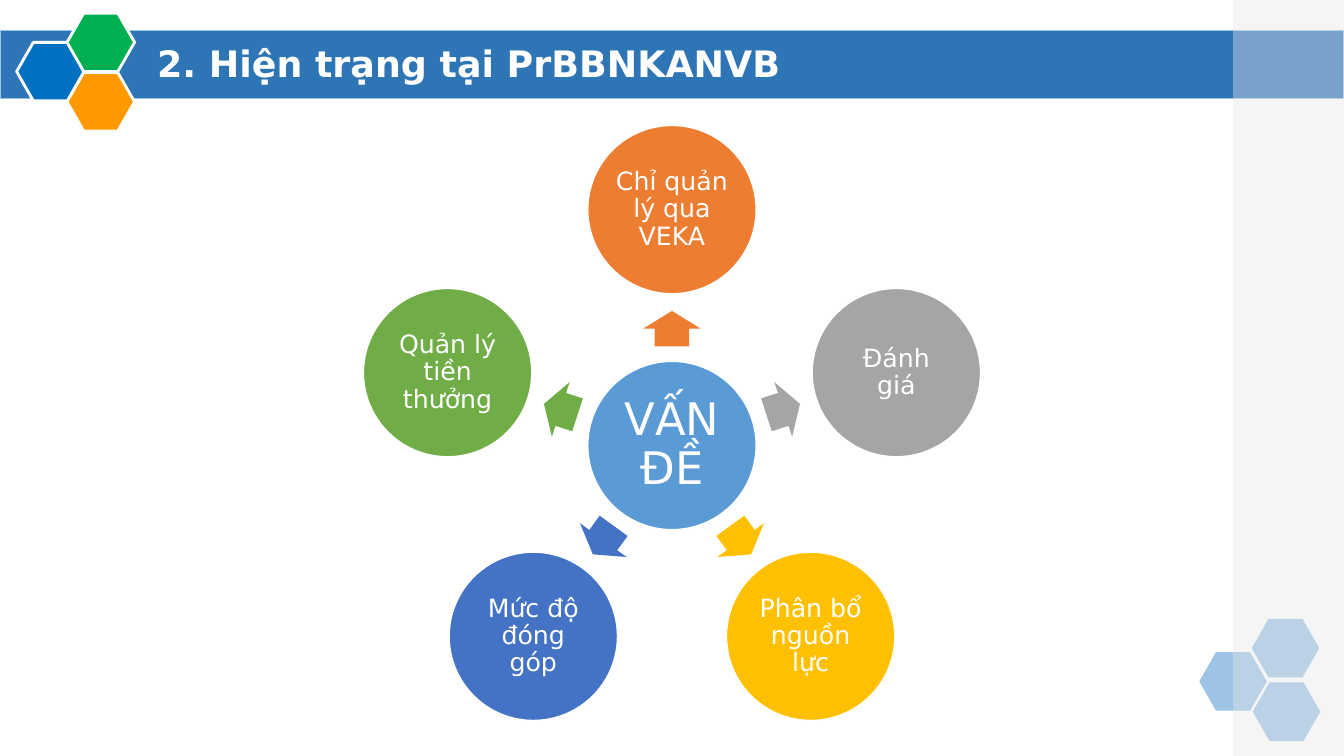
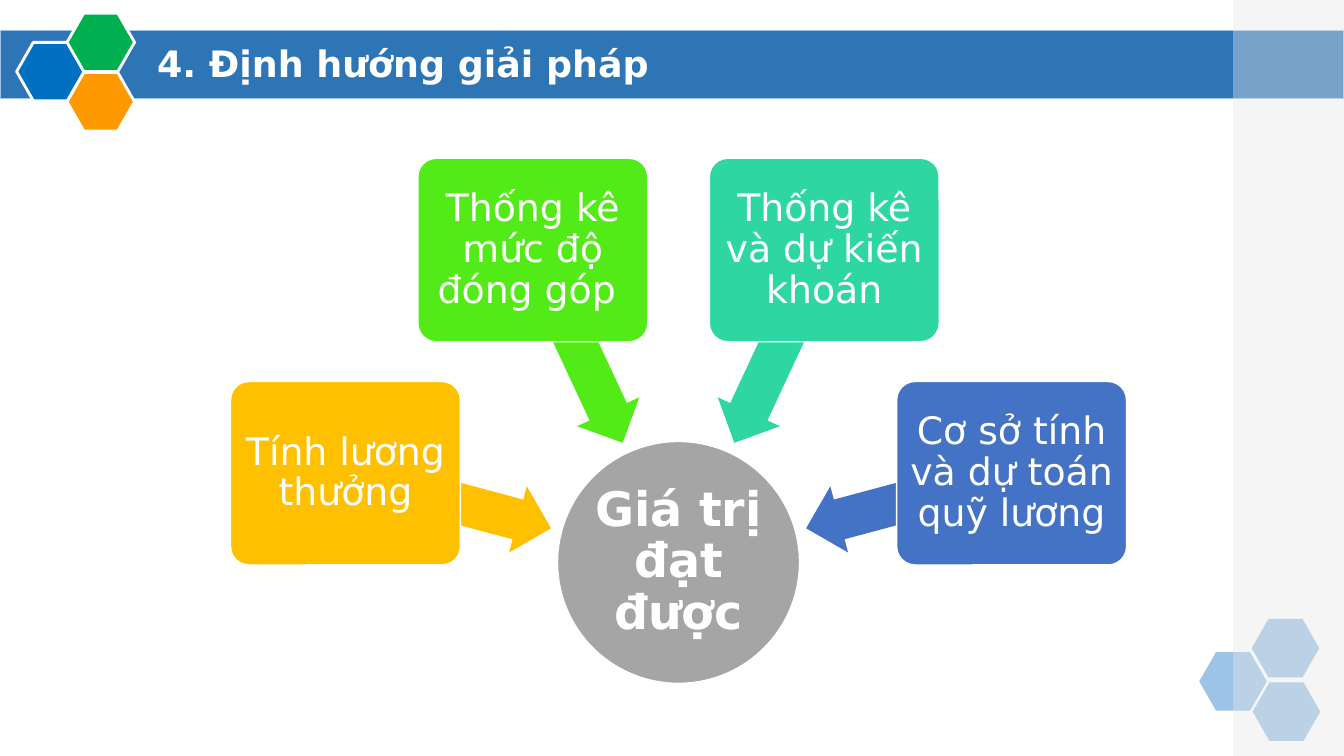
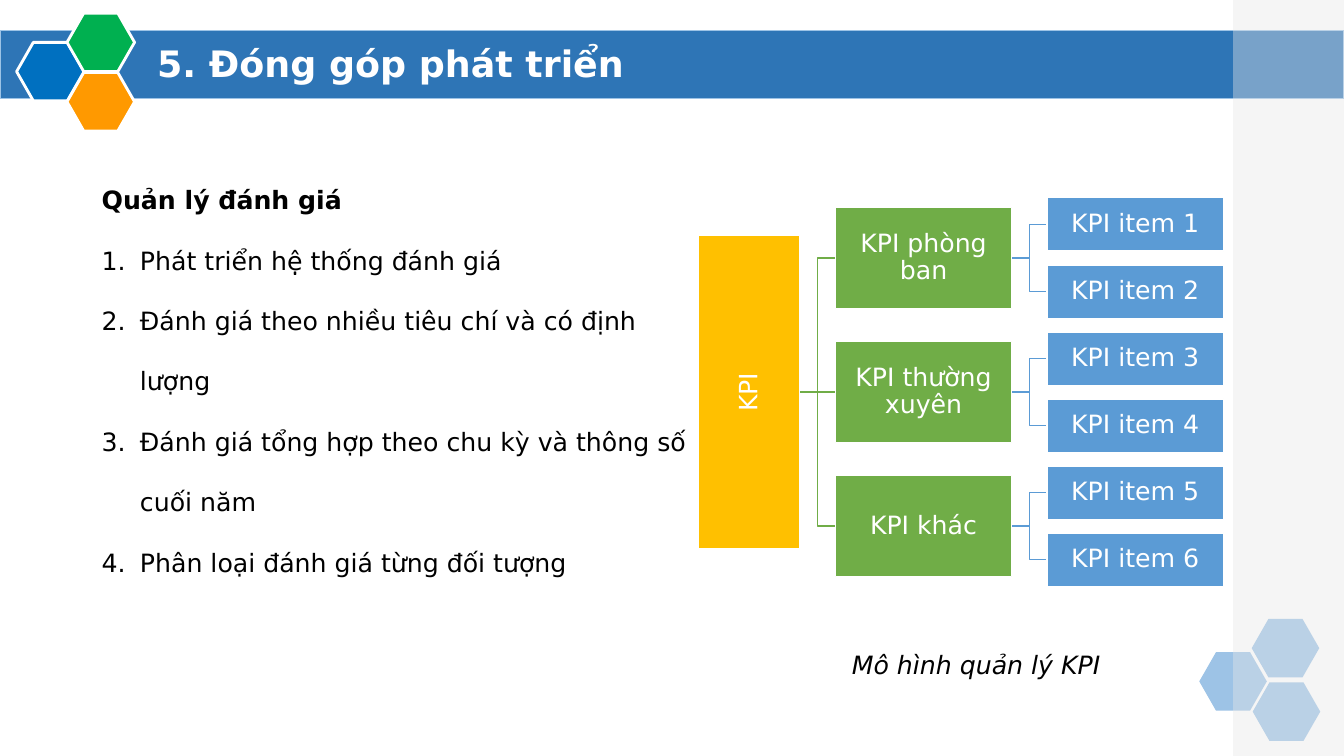
"""Build three slides on the current state, the solution and its KPI model."""
from math import cos, radians, sin

from lxml import etree
from pptx import Presentation
from pptx.dml.color import RGBColor
from pptx.enum.shapes import MSO_CONNECTOR, MSO_SHAPE
from pptx.enum.text import MSO_ANCHOR, PP_ALIGN
from pptx.oxml.ns import qn
from pptx.util import Inches, Pt

WHITE = RGBColor(0xFF, 0xFF, 0xFF)
BLACK = RGBColor(0x00, 0x00, 0x00)
BAND_BLUE = RGBColor(0x2E, 0x75, 0xB6)
PALE_BLUE = RGBColor(0x9D, 0xC3, 0xE6)
PANEL_GRAY = RGBColor(0xE7, 0xE6, 0xE6)
HEX_BLUE = RGBColor(0x00, 0x70, 0xC0)
HEX_ORANGE = RGBColor(0xFF, 0x99, 0x00)
HEX_GREEN = RGBColor(0x00, 0xB0, 0x50)
SKY = RGBColor(0x5B, 0x9B, 0xD5)
ORANGE = RGBColor(0xED, 0x7D, 0x31)
GRAY = RGBColor(0xA5, 0xA5, 0xA5)
GOLD = RGBColor(0xFF, 0xC0, 0x00)
BLUE = RGBColor(0x44, 0x72, 0xC4)
GREEN = RGBColor(0x70, 0xAD, 0x47)
LIME = RGBColor(0x53, 0xEB, 0x17)
TEAL = RGBColor(0x2E, 0xD7, 0xA1)

RECTANGLE = MSO_SHAPE.RECTANGLE
ROUNDED = MSO_SHAPE.ROUNDED_RECTANGLE
HEXAGON = MSO_SHAPE.HEXAGON
OVAL = MSO_SHAPE.OVAL
RIGHT_ARROW = MSO_SHAPE.RIGHT_ARROW
LEFT_ARROW = MSO_SHAPE.LEFT_ARROW
ELBOW = MSO_CONNECTOR.ELBOW
STRAIGHT = MSO_CONNECTOR.STRAIGHT
CENTER = PP_ALIGN.CENTER
MIDDLE = MSO_ANCHOR.MIDDLE

FONT = "DejaVu Sans"
WIDTH, HEIGHT = 13.33, 7.5
TITLES = ["2. Hiện trạng tại PrBBNKANVB", "4. Định hướng giải pháp", "5. Đóng góp phát triển"]
HEX_WIDTH, HEX_HEIGHT = 0.67, 0.58
PALE_HEXAGONS = [(12.75, 6.43), (12.23, 6.76), (12.76, 7.06)]
BRIGHT_HEXAGONS = [(0.5, 0.71, HEX_BLUE), (1, 1.01, HEX_ORANGE), (1, 0.42, HEX_GREEN)]


def add_block(page, kind, center_x, center_y, width, height, fill, line=None, weight=1,
              turn=0, adjust=(), text="", size=18, bold=False, inset=0.03):
    """Place a filled shape by its centre, with centred white text if given."""
    block = page.shapes.add_shape(kind, Inches(center_x - width / 2), Inches(center_y - height / 2),
                                  Inches(width), Inches(height))
    block.shadow.inherit = False
    block.rotation = turn
    for index, value in enumerate(adjust):
        block.adjustments[index] = value
    block.fill.solid()
    block.fill.fore_color.rgb = fill
    if line is None:
        block.line.fill.background()
    else:
        block.line.color.rgb = line
        block.line.width = Pt(weight)
    if text:
        frame = block.text_frame
        frame.margin_left = frame.margin_right = frame.margin_top = frame.margin_bottom = Inches(inset)
        frame.vertical_anchor = MIDDLE
        frame.text = text
        para = frame.paragraphs[0]
        para.alignment = CENTER
        para.line_spacing = 0.9
        style_runs(para, size, WHITE, bold=bold)
    return block


def style_runs(para, size, color, bold=False, italic=False):
    """Format every run of a paragraph."""
    for span in para.runs:
        span.font.name = FONT
        span.font.size = Pt(size)
        span.font.color.rgb = color
        span.font.bold = bold
        span.font.italic = italic


deck = Presentation()
deck.slide_width, deck.slide_height = Inches(WIDTH), Inches(HEIGHT)
pages = []
for title in TITLES:
    page = deck.slides.add_slide(deck.slide_layouts[6])
    pages.append(page)
    add_block(page, RECTANGLE, WIDTH / 2, 0.64, WIDTH, 0.68, BAND_BLUE, PALE_BLUE)
    for x, y in PALE_HEXAGONS:
        add_block(page, HEXAGON, x, y, HEX_WIDTH, HEX_HEIGHT, PALE_BLUE, adjust=[0.286])
    panel = add_block(page, RECTANGLE, WIDTH - 0.55, HEIGHT / 2, 1.1, HEIGHT, PANEL_GRAY)
    panel_color = panel._element.spPr.find(qn("a:solidFill"))[0]
    etree.SubElement(panel_color, qn("a:alpha"), val="40000")
    for x, y, color in BRIGHT_HEXAGONS:
        add_block(page, HEXAGON, x, y, HEX_WIDTH, HEX_HEIGHT, color, WHITE, 2, adjust=[0.286])
    box = page.shapes.add_textbox(Inches(1.46), Inches(0.36), Inches(10.81), Inches(0.54))
    box.text_frame.word_wrap = True
    box.text_frame.text = title
    style_runs(box.text_frame.paragraphs[0], 26, WHITE, bold=True)

problem_page, solution_page, kpi_page = pages

PROBLEMS = [
    ("Chỉ quản lý qua VEKA", ORANGE),
    ("Đánh giá", GRAY),
    ("Phân bổ nguồn lực", GOLD),
    ("Mức độ đóng góp", BLUE),
    ("Quản lý tiền thưởng", GREEN),
]
hub_x, hub_y, diameter = WIDTH / 2, 4.42, 1.67
add_block(problem_page, OVAL, hub_x, hub_y, diameter, diameter, SKY, WHITE,
          text="VẤN ĐỀ", size=32, inset=0.04)
for index, (problem, color) in enumerate(PROBLEMS):
    angle = (270 + index * 360 / len(PROBLEMS)) % 360
    across, down = cos(radians(angle)), sin(radians(angle))
    add_block(problem_page, RIGHT_ARROW, hub_x + 1.16 * across, hub_y + 1.16 * down, 0.35, 0.57,
              color, turn=angle, adjust=[0.6, 0.5])
    add_block(problem_page, OVAL, hub_x + 2.34 * across, hub_y + 2.34 * down, diameter, diameter,
              color, WHITE, text=problem)

VALUES = [
    ("Tính lương thưởng", GOLD),
    ("Thống kê mức độ đóng góp ", LIME),
    ("Thống kê và dự kiến khoán", TEAL),
    ("Cơ sở tính và dự toán quỹ lương", BLUE),
]
hub_x, hub_y, diameter = 6.73, 5.58, 2.4
add_block(solution_page, OVAL, hub_x, hub_y, diameter, diameter, GRAY, WHITE,
          text="Giá trị đạt được", size=34, bold=True, inset=0.02)
for index, (value, color) in enumerate(VALUES):
    angle = 195 + index * 50
    across, down = cos(radians(angle)), sin(radians(angle))
    add_block(solution_page, LEFT_ARROW, hub_x + 2.36 * across, hub_y + 2.36 * down, 2.1, 0.68,
              color, turn=angle, adjust=[0.6, 0.5])
    add_block(solution_page, ROUNDED, hub_x + 3.42 * across, hub_y + 3.42 * down, 2.28, 1.82,
              color, WHITE, adjust=[0.1], text=value, size=27, inset=0.06)

GROUPS = ["KPI phòng ban", "KPI thường xuyên", "KPI khác"]
root_x, group_x, item_x = 7.43, 9.16, 11.26
middle_y, group_step, box_width, gap = 3.89, 1.33, 1.75, 0.35
links, blocks = [], [(root_x, middle_y, 3.11, 1, GOLD, 270, "KPI")]
for row, group in enumerate(GROUPS):
    group_y = middle_y + (row - 1) * group_step
    group_left, group_right = group_x - box_width / 2, group_x + box_width / 2
    links.append((group_left - gap, middle_y, group_left, group_y, GREEN))
    blocks.append((group_x, group_y, box_width, 1, GREEN, 0, group))
    for half in range(2):
        item_y = group_y + (half - 0.5) * group_step / 2
        links.append((group_right, group_y, group_right + gap, item_y, SKY))
        blocks.append((item_x, item_y, box_width, 0.53, SKY, 0, f"KPI item {2 * row + half + 1}"))
for start_x, start_y, end_x, end_y, color in links:
    link = kpi_page.shapes.add_connector(STRAIGHT if start_y == end_y else ELBOW, Inches(start_x),
                                         Inches(start_y), Inches(end_x), Inches(end_y))
    link.line.color.rgb = color
    link.line.width = Pt(1)
    etree.SubElement(link._element.spPr, qn("a:effectLst"))
for x, y, width, height, color, turn, label in blocks:
    add_block(kpi_page, RECTANGLE, x, y, width, height, color, WHITE, turn=turn, text=label, inset=0.01)

caption = kpi_page.shapes.add_textbox(Inches(8.35), Inches(6.39), Inches(3.39), Inches(0.4))
caption.text_frame.word_wrap = True
caption.text_frame.text = "Mô hình quản lý KPI"
style_runs(caption.text_frame.paragraphs[0], 18, BLACK, italic=True)

STEPS = [
    "Quản lý đánh giá",
    "Phát triển hệ thống đánh giá",
    "Đánh giá theo nhiều tiêu chí và có định lượng",
    "Đánh giá tổng hợp theo chu kỳ và thông số cuối năm",
    "Phân loại đánh giá từng đối tượng",
]
body = kpi_page.shapes.add_textbox(Inches(0.91), Inches(1.48), Inches(6.02), Inches(5.77))
body.text_frame.word_wrap = True
body.text_frame.text = "\n".join(STEPS)
for index, para in enumerate(body.text_frame.paragraphs):
    para.line_spacing = 2
    style_runs(para, 18, BLACK, bold=index == 0)
    if index:
        properties = para._p.get_or_add_pPr()
        properties.set("marL", str(Inches(0.38)))
        properties.set("indent", str(-Inches(0.38)))
        etree.SubElement(properties, qn("a:buFont"), typeface="+mj-lt")
        etree.SubElement(properties, qn("a:buAutoNum"), type="arabicPeriod")

deck.save("out.pptx")
